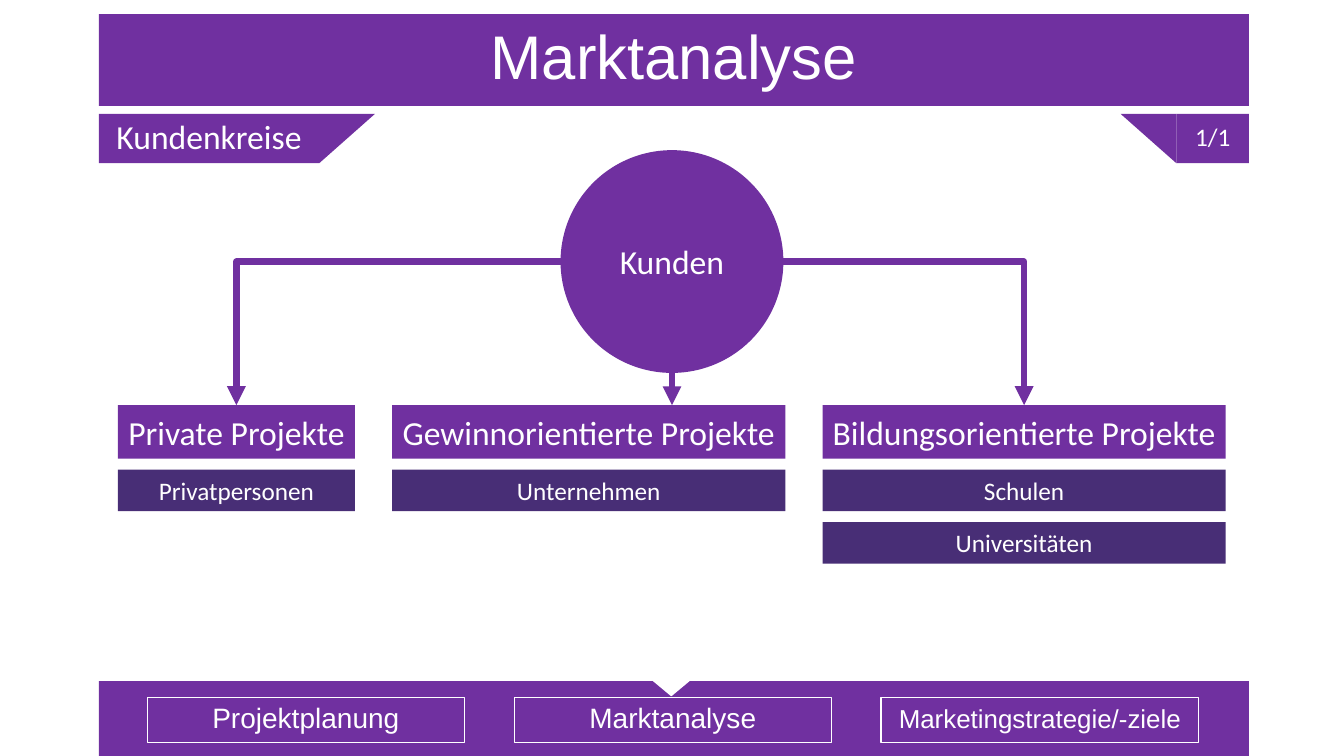
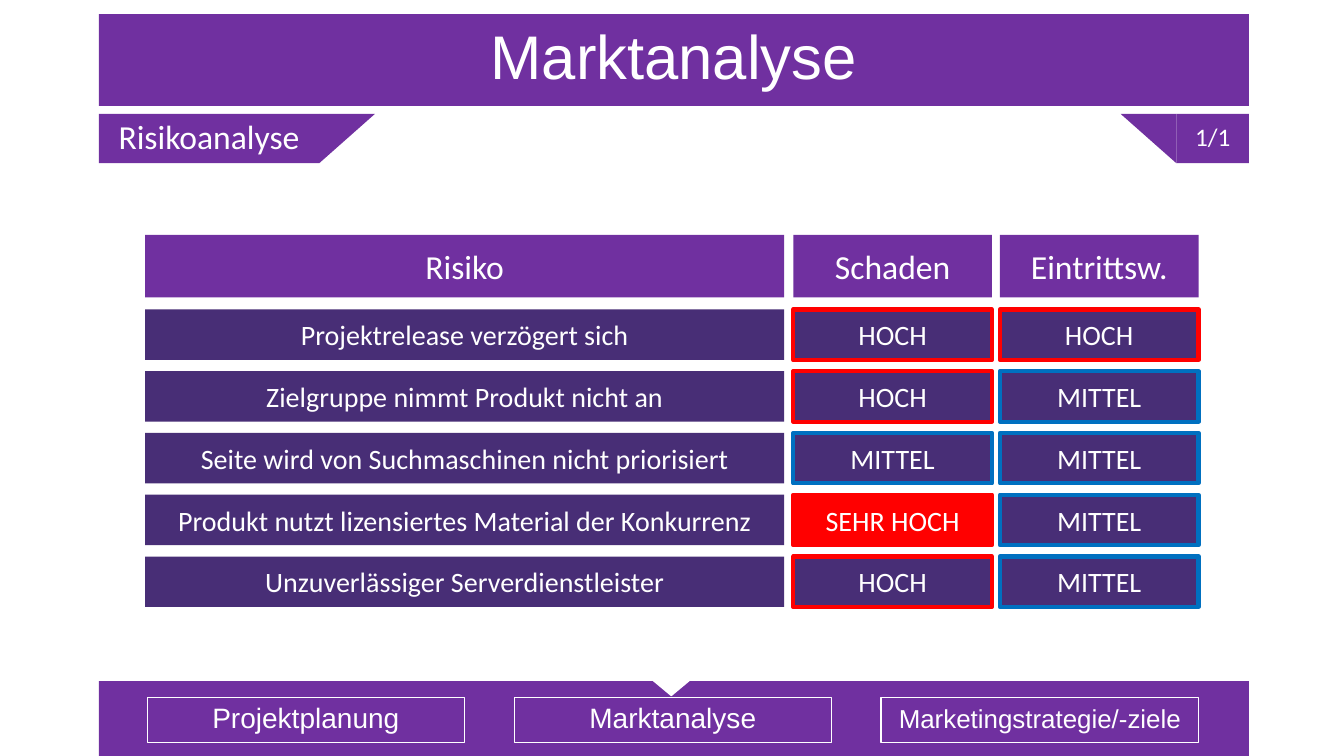
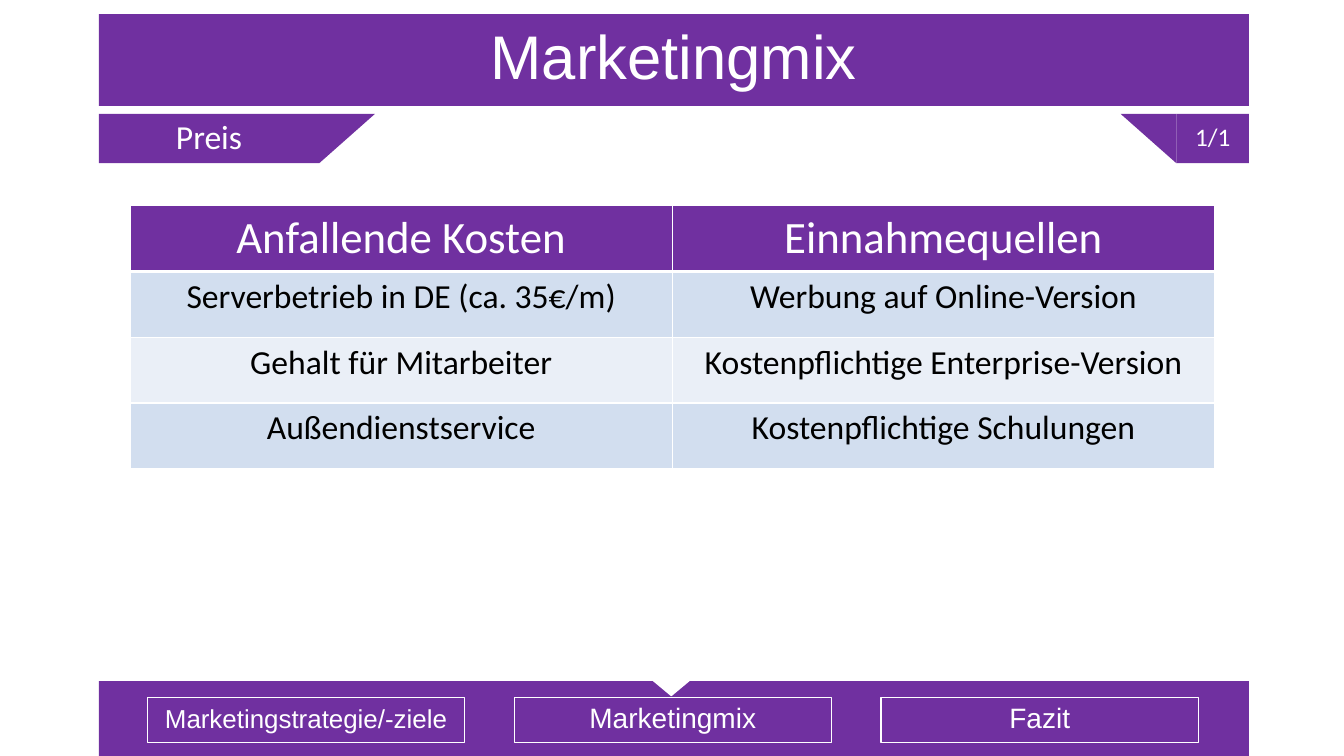
import pptx
import pptx.util
import pptx.dml.color
import pptx.enum.shapes
import pptx.enum.text
import pptx.oxml
import pptx.oxml.ns

WIDE, HIGH = 13.33, 7.5  # inches; all places below are percent of these
KIND = pptx.enum.shapes.MSO_SHAPE
LINK = pptx.enum.shapes.MSO_CONNECTOR
ALIGN = pptx.enum.text.PP_ALIGN
MIDDLE = pptx.enum.text.MSO_ANCHOR.MIDDLE
NS = pptx.oxml.ns.nsdecls("a")

HUES = {
    "main": "7030A0", "dark": "482E76", "white": "FFFFFF", "black": "000000",
    "red": "FF0000", "blue": "0070C0", "odd": "D2DEEF", "even": "EAEFF7",
}
FRAME = {
    "word_wrap": True, "vertical_anchor": MIDDLE,
    "margin_left": 0, "margin_right": 0, "margin_top": 0, "margin_bottom": 0,
}

# Shared frame: band, tabs, footer
LEFT, SPAN = 7.35, 85.58
TAB_TOP, TAB_HIGH = 15.07, 6.53
TAB_WIDE, PAGE_WIDE, WING = 16.4, 5.4, 4.15
NAV_LEFT, NAV_STEP, NAV_WIDE = 10.95, 27.3, 23.62


def hue(key):
    return pptx.dml.color.RGBColor.from_string(HUES[key])


def across(share):
    return pptx.util.Inches(WIDE * share / 100)


def down(share):
    return pptx.util.Inches(HIGH * share / 100)


def apply(target, values):
    for name, value in values.items():
        setattr(target, name, value)


def write(frame, text, size, color="white", face="Calibri", space=1.0):
    para = frame.paragraphs[0]
    apply(para, {"alignment": ALIGN.CENTER, "line_spacing": space})
    run = para.add_run()
    run.text = text
    apply(run.font, {"name": face, "size": pptx.util.Pt(size), "bold": False})
    run.font.color.rgb = hue(color)


def box(slide, x, y, w, h, fill="main", line=None, kind=KIND.RECTANGLE,
        flips=(), text=None, **style):
    """Place a preset shape; line is (colour, points)."""
    shape = slide.shapes.add_shape(kind, across(x), down(y), across(w), down(h))
    shape.shadow.inherit = False
    if fill:
        shape.fill.solid()
        shape.fill.fore_color.rgb = hue(fill)
    else:
        shape.fill.background()
    if line:
        shape.line.color.rgb = hue(line[0])
        shape.line.width = pptx.util.Pt(line[1])
    else:
        shape.line.fill.background()
    for flip in flips:
        shape._element.spPr.xfrm.set(flip, "1")
    if text:
        apply(shape.text_frame, FRAME)
        write(shape.text_frame, text, **style)
    return shape


def arrow(slide, start, end):
    """Link two points, with one corner unless they share a column."""
    bent = start[0] != end[0]
    link = slide.shapes.add_connector(
        LINK.ELBOW if bent else LINK.STRAIGHT,
        across(start[0]), down(start[1]), across(end[0]), down(end[1]))
    link.line.color.rgb = hue("main")
    link.line.width = pptx.util.Pt(4.5)
    props = link._element.spPr
    if bent:
        props.prstGeom.set("prst", "bentConnector2")
    props.find(pptx.oxml.ns.qn("a:ln")).append(
        pptx.oxml.parse_xml(f'<a:tailEnd {NS} type="triangle"/>'))
    props.append(pptx.oxml.parse_xml(f"<a:effectLst {NS}/>"))


def border(cell, top, base):
    props = cell._tc.get_or_add_tcPr()
    for side, points in (("L", 1), ("R", 1), ("T", top), ("B", base)):
        props.append(pptx.oxml.parse_xml(
            f'<a:ln{side} {NS} w="{points * 12700}"><a:solidFill>'
            f'<a:srgbClr val="{HUES["white"]}"/></a:solidFill></a:ln{side}>'))


def grid(slide, x, y, w, row, rows):
    """Table with a dark head and two body tints in turn."""
    table = slide.shapes.add_table(
        len(rows), len(rows[0]), across(x), down(y),
        across(w), down(row * len(rows))).table
    apply(table, {"first_row": False, "horz_banding": False})
    for r, texts in enumerate(rows):
        head = r == 0
        tint = "main" if head else ("even", "odd")[r % 2]
        for c, text in enumerate(texts):
            cell = table.cell(r, c)
            border(cell, 3 if r == 1 else 1, 3 if head else 1)
            cell.fill.solid()
            cell.fill.fore_color.rgb = hue(tint)
            write(cell.text_frame, text, 32 if head else 24,
                  "white" if head else "black")


def page(deck, title, topic, steps):
    """Add a slide with title band, topic tab, page tab and footer."""
    slide = deck.slides.add_slide(deck.slide_layouts[6])
    right = LEFT + SPAN - PAGE_WIDE
    # Footer
    box(slide, LEFT, 90.1, SPAN, 9.9)
    box(slide, 48.6, 90, 2.7, 2, "white", ("white", 1),
        KIND.ISOSCELES_TRIANGLE, ["flipV"])
    for i, step in enumerate(steps):
        box(slide, NAV_LEFT + i * NAV_STEP, 92.27, NAV_WIDE, 5.9, None,
            ("white", 0.75), text=step, size=18.5 if len(step) > 20 else 20,
            face="Arial", space=0.9)
    # Title and tabs
    box(slide, LEFT, 1.87, SPAN, 12.13, text=title, size=44, face="Arial",
        space=0.9)
    for x, flips in ((LEFT + TAB_WIDE, ["flipV"]),
                     (right - WING, ["flipH", "flipV"])):
        box(slide, x, TAB_TOP, WING, TAB_HIGH, kind=KIND.RIGHT_TRIANGLE,
            flips=flips)
    for x, w, text, size in ((LEFT, TAB_WIDE, topic, 24),
                             (right, PAGE_WIDE, "1/1", 18)):
        box(slide, x, TAB_TOP, w, TAB_HIGH, text=text, size=size, space=0.9)
    return slide


def clients(slide):
    mid, hub, wide, high = 50, 34.6, 16.58, 29.47
    top = 53.6
    groups = [
        (8.78, 17.62, "Private Projekte", ["Privatpersonen"]),
        (29.18, 29.25, "Gewinnorientierte Projekte", ["Unternehmen"]),
        (61.2, 30, "Bildungsorientierte Projekte",
         ["Schulen", "Universitäten"]),
    ]
    # Hub and arrows
    box(slide, mid - wide / 2, hub - high / 2, wide, high, kind=KIND.OVAL,
        text="Kunden", size=24)
    ends = [groups[0][0] + groups[0][1] / 2, mid,
            groups[2][0] + groups[2][1] / 2]
    starts = [(mid - wide / 2, hub), (mid, hub + high / 2),
              (mid + wide / 2, hub)]
    for start, x in zip(starts, ends):
        arrow(slide, start, (x, top))
    # Groups with their members
    for x, w, name, members in groups:
        box(slide, x, top, w, 7.07, text=name, size=24)
        for i, member in enumerate(members):
            box(slide, x, 62.13 + i * 6.93, w, 5.5, "dark", text=member,
                size=18)


def risks(slide):
    cols = [(10.8, 47.55), (59.03, 14.78), (74.4, 14.78)]
    heads = ["Risiko", "Schaden", "Eintrittsw."]
    rows = [
        ("Projektrelease verzögert sich", "HOCH", "HOCH"),
        ("Zielgruppe nimmt Produkt nicht an", "HOCH", "MITTEL"),
        ("Seite wird von Suchmaschinen nicht priorisiert", "MITTEL", "MITTEL"),
        ("Produkt nutzt lizensiertes Material der Konkurrenz", "SEHR HOCH",
         "MITTEL"),
        ("Unzuverlässiger Serverdienstleister", "HOCH", "MITTEL"),
    ]
    # Fill and outline by level
    looks = {
        "HOCH": ("dark", ("red", 3)),
        "MITTEL": ("dark", ("blue", 3)),
        "SEHR HOCH": ("red", ("red", 3)),
    }
    for (x, w), head in zip(cols, heads):
        box(slide, x, 31.07, w, 8.27, text=head, size=24)
    for i, row in enumerate(rows):
        for (x, w), text in zip(cols, row):
            fill, line = looks.get(text, ("dark", None))
            box(slide, x, 40.93 + i * 8.17, w, 6.67, fill, line, text=text,
                size=20)


def main():
    deck = pptx.Presentation()
    apply(deck, {"slide_width": across(100), "slide_height": down(100)})
    market = ["Projektplanung", "Marktanalyse", "Marketingstrategie/-ziele"]
    mix = ["Marketingstrategie/-ziele", "Marketingmix", "Fazit"]

    clients(page(deck, "Marktanalyse", "Kundenkreise", market))
    risks(page(deck, "Marktanalyse", "Risikoanalyse", market))
    grid(page(deck, "Marketingmix", "Preis", mix), 9.68, 27.2, 80.7, 8.7, [
        ("Anfallende Kosten", "Einnahmequellen"),
        ("Serverbetrieb in DE (ca. 35€/m)", "Werbung auf Online-Version"),
        ("Gehalt für Mitarbeiter", "Kostenpflichtige Enterprise-Version"),
        ("Außendienstservice", "Kostenpflichtige Schulungen"),
    ])
    deck.save("out.pptx")


if __name__ == "__main__":
    main()
